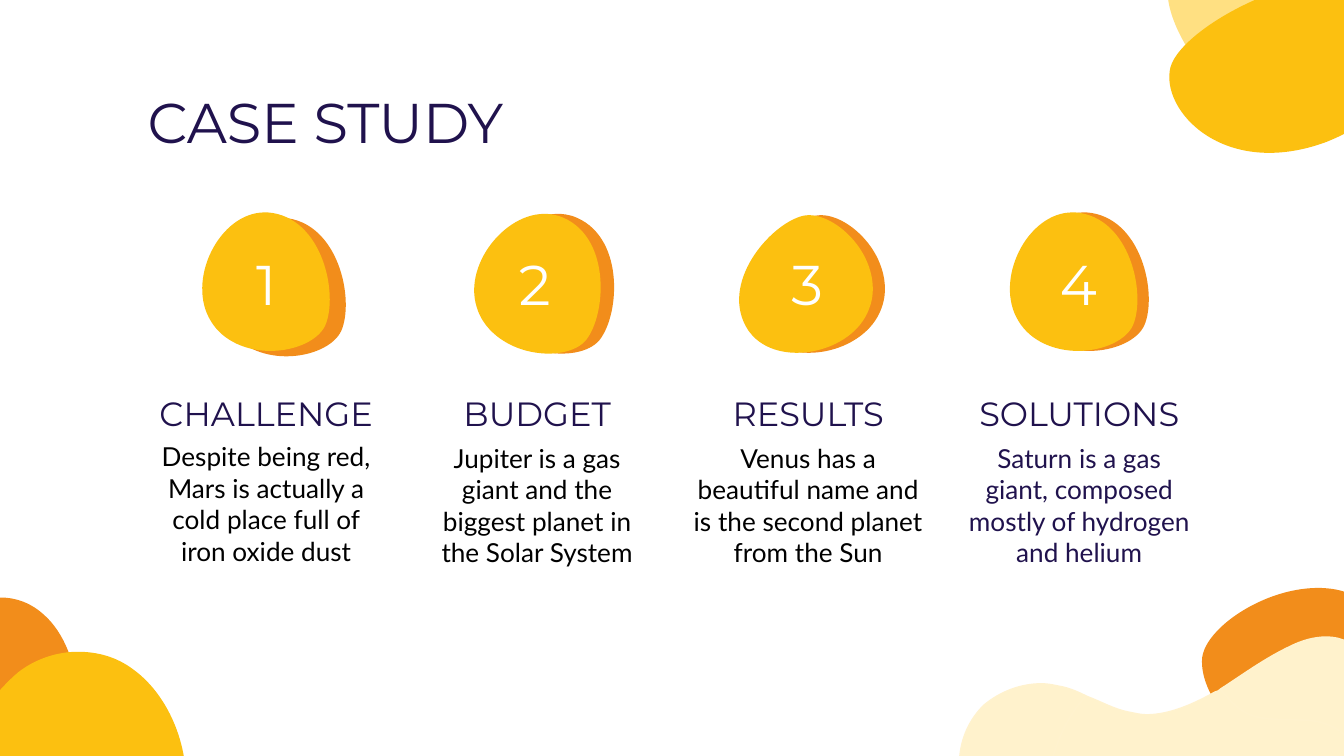
from lxml.etree import SubElement
from pptx import Presentation
from pptx.dml.color import RGBColor
from pptx.enum.text import MSO_ANCHOR, PP_ALIGN
from pptx.oxml.ns import qn
from pptx.util import Pt

NAVY, BLACK, WHITE = "20124D", "000000", "FFFFFF"
YELLOW, ORANGE, PALE_YELLOW, CREAM, CREAM_EDGE = "FCC010", "F28D1B", "FFE082", "FFF2CC", "FFF2CE"

# Outlines: the size of the drawing grid, then move, curve, line and close steps
BLOB = (114, 103, "M 59 0 C 25 0 0 51 19 81 C 28 96 46 103 63 103 C 82 103 99 95 104 84 "
                  "C 114 61 102 3 61 0 C 60 0 59 0 59 0 Z")
HILL = (251, 86, "M 171 0 C 186 0 200 4 212 13 C 233 28 248 56 251 86 L 1 86 C 2 81 4 77 7 74 "
                 "C 16 64 30 61 42 61 C 54 61 67 62 79 57 C 98 50 110 29 127 15 "
                 "C 140 5 156 0 171 0 Z")
WAVE_ENDS = (315, 91, "M 61 35 C 45 35 30 41 18 51 C 7 62 1 76 0 91 L 69 91 C 74 73 82 57 94 44 "
                      "C 88 41 81 38 75 37 C 70 36 66 35 61 35 Z "
                      "M 273 0 C 263 0 254 3 246 7 C 227 16 211 28 194 39 C 199 45 205 52 212 56 "
                      "C 224 63 240 61 255 62 C 270 62 287 68 291 82 C 292 85 292 88 292 91 "
                      "L 314 91 C 315 70 314 48 307 28 C 304 19 298 9 289 4 C 284 1 278 0 273 0 Z")
WAVE_MIDDLE = (223, 52, "M 125 0 C 124 1 122 2 121 2 C 105 11 87 19 70 19 C 66 19 62 18 57 17 "
                        "C 46 15 36 9 25 5 C 13 18 5 34 0 52 L 223 52 C 223 49 223 46 222 43 "
                        "C 218 29 201 23 186 23 C 171 22 155 24 143 17 C 136 13 130 6 125 0 Z")
STEP_TAGS = {"M": "a:moveTo", "C": "a:cubicBezTo", "L": "a:lnTo", "Z": "a:close"}

COLUMN_LEFT, COLUMN_TOP, COLUMN_WIDTH, COLUMN_PITCH = 70.6, 113.8, 144, 145.2
BLOB_WIDTH, BLOB_HEIGHT = 82.1, 74.2

# Heading, body, body colour, blob offset, blob turn, shade offset, number offset and width
COLUMNS = [
    ("CHALLENGE", "Despite being red, Mars is actually a cold place full of iron oxide dust",
     BLACK, (28.8, 0), 0, (8.6, 2.9), (2.2, 139.7)),
    ("BUDGET", "Jupiter is a gas giant and the biggest planet in the Solar System",
     BLACK, (30.4, 0), 14.7, (7.2, 0), (-3.4, 148.3)),
    ("RESULTS", "Venus has a beautiful name and is the second planet from the Sun",
     BLACK, (30, 5.8), 232.6, (6.5, 0), (-1, 144.7)),
    ("SOLUTIONS", "Saturn is a gas giant, composed mostly of hydrogen and helium",
     NAVY, (25.9, 0), 0, (6.1, 0), (0.7, 141.8)),
]


def color(value):
    return RGBColor.from_string(value)


def add_text(slide, text, left, top, width, height, *, size, font="Montserrat", fill=NAVY,
             align=PP_ALIGN.CENTER, anchor=MSO_ANCHOR.TOP, line_spacing=1.0, space_after=0):
    frame = slide.shapes.add_textbox(Pt(left), Pt(top), Pt(width), Pt(height)).text_frame
    frame.word_wrap = True
    frame.vertical_anchor = anchor
    frame.margin_left = frame.margin_right = frame.margin_top = frame.margin_bottom = Pt(7.2)
    paragraph = frame.paragraphs[0]
    paragraph.alignment = align
    paragraph.line_spacing = line_spacing
    paragraph.space_after = Pt(space_after)
    run = paragraph.add_run()
    run.text = text
    run.font.name = font
    run.font.size = Pt(size)
    run.font.color.rgb = color(fill)


def add_outline(slide, outline, left, top, width, height, fill, turn=0, edge=None):
    """Fit a curved outline to a box, then turn it about its centre."""
    right, bottom = left + width, top + height
    builder = slide.shapes.build_freeform(Pt(left), Pt(top))
    builder.add_line_segments([(Pt(x), Pt(y)) for x, y in
                               ((right, top), (right, bottom), (left, bottom))])
    shape = builder.convert_to_shape()

    # Replace the straight sides of the box with the curves
    grid_width, grid_height, steps = outline
    geometry = shape.element.find(".//" + qn("a:path"))
    for side in list(geometry):
        geometry.remove(side)
    geometry.set("w", str(grid_width))
    geometry.set("h", str(grid_height))
    numbers = []
    for token in steps.split():
        if token in STEP_TAGS:
            step = SubElement(geometry, qn(STEP_TAGS[token]))
            continue
        numbers.append(token)
        if len(numbers) == 2:
            SubElement(step, qn("a:pt"), x=numbers[0], y=numbers[1])
            numbers = []

    shape.rotation = turn
    shape.shadow.inherit = False
    shape.fill.solid()
    shape.fill.fore_color.rgb = color(fill)
    if edge:
        shape.line.color.rgb = color(edge)
        shape.line.width = Pt(0.75)
    else:
        shape.line.fill.background()


def add_top_right_corner(slide, left, top):
    add_outline(slide, BLOB, left + 9.3, top - 23.7, 74.2, 85, PALE_YELLOW, 157.2)
    add_outline(slide, BLOB, left, top, 163.4, 85, YELLOW, 157.2)


def add_bottom_right_corner(slide, left, top):
    add_outline(slide, BLOB, left + 126, top - 25.9, 119.5, 85, ORANGE, 157.2)
    add_outline(slide, WAVE_ENDS, left, top, 226.8, 65.2, CREAM, edge=CREAM_EDGE)
    add_outline(slide, WAVE_MIDDLE, left + 49.7, top + 28, 160.6, 37.4, CREAM, edge=CREAM_EDGE)


def add_bottom_left_corner(slide, left, top):
    add_outline(slide, BLOB, left + 51.1, top - 31.7, 79.2, 92.9, ORANGE, 157.2)
    add_outline(slide, HILL, left, top, 180.7, 61.9, YELLOW)


def add_column(slide, number, left, top, width, column):
    heading, body, body_fill, blob_offset, turn, shade_offset, number_box = column

    # Numbered blob with its shade behind
    blob_left, blob_top = left + blob_offset[0], top + blob_offset[1]
    for (shift_x, shift_y), fill in ((shade_offset, ORANGE), ((0, 0), YELLOW)):
        add_outline(slide, BLOB, blob_left + shift_x, blob_top + shift_y,
                    BLOB_WIDTH, BLOB_HEIGHT, fill, turn)
    number_offset, number_width = number_box
    add_text(slide, str(number), left + number_offset, top + 15.1, number_width, 45.4,
             size=30, fill=WHITE, anchor=MSO_ANCHOR.MIDDLE)

    # Heading and body
    add_text(slide, heading, left, top + 86.4, width, 36, size=18,
             line_spacing=1.15, space_after=16)
    body_top = top + (115.2 if number == 1 else 115.9)
    add_text(slide, body, left + 3.6, body_top, width - 7.2, 86.4,
             size=14, font="Lato", fill=body_fill)


def main():
    presentation = Presentation()
    presentation.slide_width, presentation.slide_height = Pt(720), Pt(405)
    slide = presentation.slides.add_slide(presentation.slide_layouts[6])
    slide.background.fill.solid()
    slide.background.fill.fore_color.rgb = color(WHITE)

    # Corner decorations
    add_top_right_corner(slide, 617.8, -7.9)
    add_bottom_right_corner(slide, 514.1, 341.3)
    add_bottom_left_corner(slide, -81.4, 349.2)

    # Title and the four columns
    add_text(slide, "CASE STUDY", 72, 39.6, 574.6, 45.4, size=30, align=PP_ALIGN.LEFT)
    for index, column in enumerate(COLUMNS):
        add_column(slide, index + 1, COLUMN_LEFT + index * COLUMN_PITCH, COLUMN_TOP,
                   COLUMN_WIDTH, column)

    presentation.save("out.pptx")


if __name__ == "__main__":
    main()
